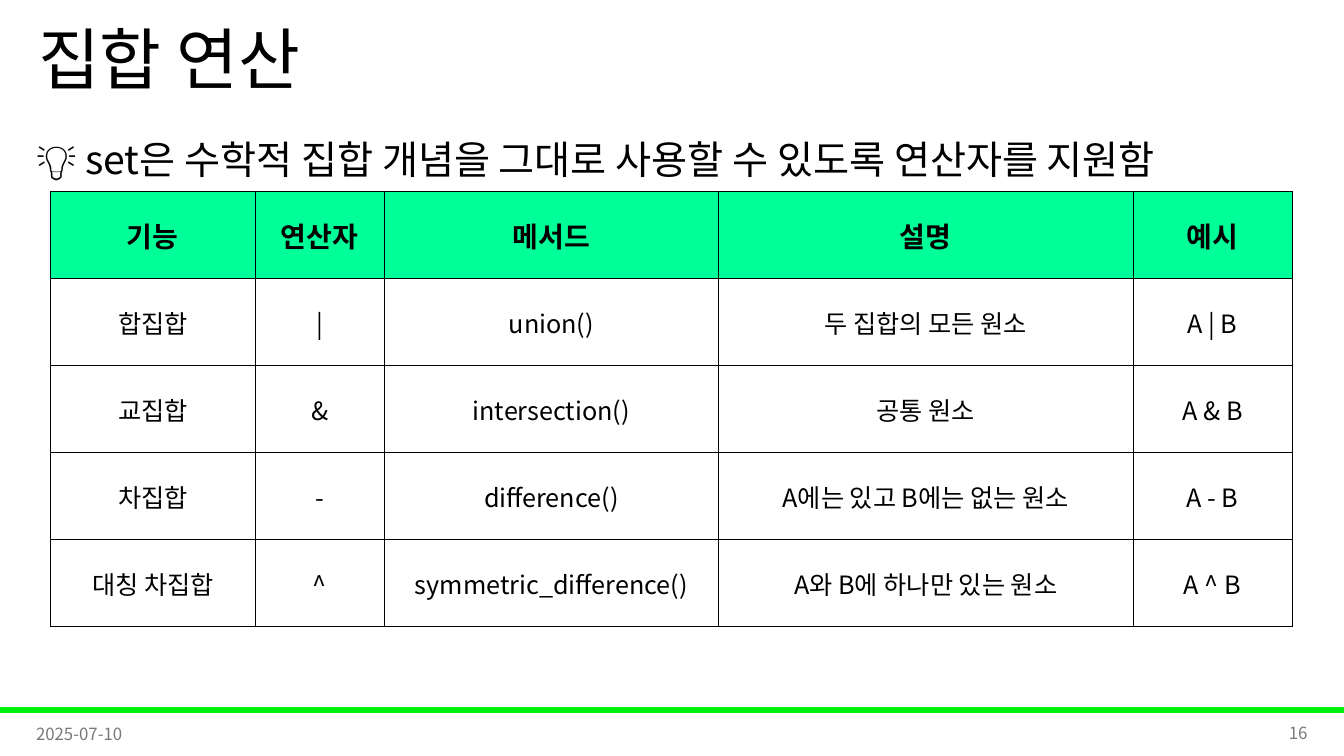
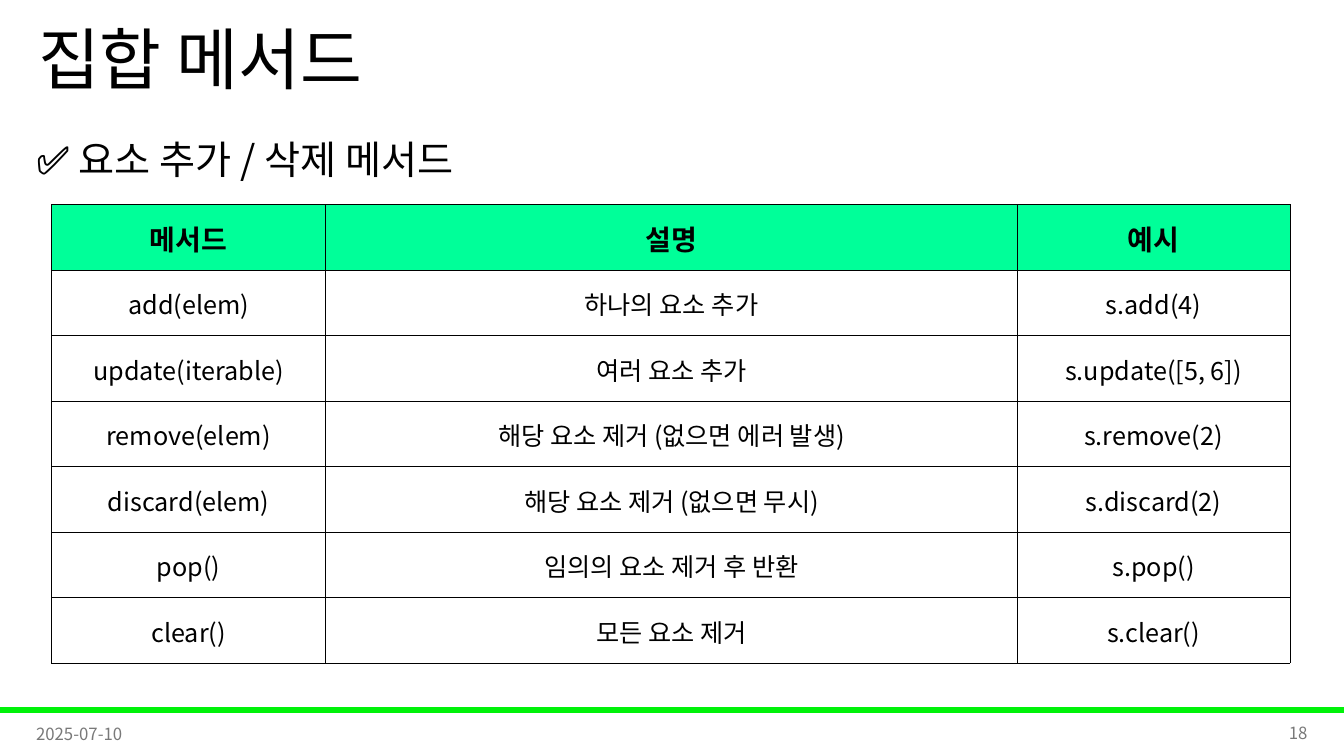
import pptx
import pptx.dml.color
import pptx.enum.shapes
import pptx.enum.text
import pptx.oxml.ns
import pptx.util
from lxml import etree

Cm, Pt = pptx.util.Cm, pptx.util.Pt
ALIGN = pptx.enum.text.PP_ALIGN
MIDDLE = pptx.enum.text.MSO_ANCHOR.MIDDLE
TOP = pptx.enum.text.MSO_ANCHOR.TOP
qn = pptx.oxml.ns.qn

FONT = "Noto Sans CJK KR"
COLORS = {"text": "000000", "footer": "797979", "band": "00F209", "header": "00FF99", "border": "000000"}
DATE = "2025-07-10"


def rgb(name):
    return pptx.dml.color.RGBColor.from_string(COLORS[name])


class Deck:
    """Holds the shared style and the slide being built."""

    def __init__(self):
        self.prs = pptx.Presentation()
        self.prs.slide_width = Cm(33.87)
        self.prs.slide_height = Cm(19.05)
        self.s = None

    def add_slide(self, title, heading, number):
        self.s = self.prs.slides.add_slide(self.prs.slide_layouts[6])
        self.band()
        p = self.text(title, 0.71, 0, 29.21, 3.18, 48)
        p.line_spacing = 0.9
        self.text(DATE, 0.66, 17.98, 7.62, 1.02, 12, "footer")
        self.text(str(number), 25.58, 17.96, 7.62, 1.02, 12, "footer", ALIGN.RIGHT)
        p = self.text(heading, 0.66, 2.69, 32.51, 2.13, 28, anchor=TOP)
        p.line_spacing = 1.5
        p.space_before = Pt(10)

    def style(self, p, size, color="text", align=ALIGN.LEFT, bold=False):
        p.alignment = align
        f = p.font
        f.size, f.bold, f.name = Pt(size), bold, FONT
        f.color.rgb = rgb(color)
        # East Asian text takes its typeface from a separate element
        etree.SubElement(p._p.pPr.find(qn("a:defRPr")), qn("a:ea"), typeface=FONT)

    def text(self, text, x, y, w, h, size, color="text", align=ALIGN.LEFT, anchor=MIDDLE):
        tf = self.s.shapes.add_textbox(Cm(x), Cm(y), Cm(w), Cm(h)).text_frame
        tf.word_wrap = True
        tf.vertical_anchor = anchor
        p = tf.paragraphs[0]
        p.text = text
        self.style(p, size, color, align)
        return p

    def band(self):
        sp = self.s.shapes.add_shape(
            pptx.enum.shapes.MSO_SHAPE.RECTANGLE, 0, Cm(17.83), self.prs.slide_width, Cm(0.13))
        sp.shadow.inherit = False
        sp.fill.solid()
        sp.fill.fore_color.rgb = rgb("band")
        sp.line.color.rgb = rgb("band")
        sp.line.width = Pt(1)

    def table(self, x, y, widths, row_height, rows):
        """Draw a bordered table whose first row is the header."""
        tbl = self.s.shapes.add_table(
            len(rows), len(widths), Cm(x), Cm(y), Cm(sum(widths)), Cm(row_height * len(rows))).table
        for column, width in zip(tbl.columns, widths):
            column.width = Cm(width)
        for i, values in enumerate(rows):
            tbl.rows[i].height = Cm(row_height)
            for j, value in enumerate(values):
                self.cell(tbl.cell(i, j), value, header=i == 0)

    def cell(self, cell, value, header):
        cell.margin_left = cell.margin_right = cell.margin_top = Cm(0.03)
        cell.margin_bottom = 0
        cell.vertical_anchor = MIDDLE
        self.borders(cell)
        if header:
            cell.fill.solid()
            cell.fill.fore_color.rgb = rgb("header")
        else:
            cell.fill.background()
        p = cell.text_frame.paragraphs[0]
        p.text = value
        self.style(p, 20 if header else 18, align=ALIGN.CENTER, bold=header)

    def borders(self, cell):
        tcPr = cell._tc.get_or_add_tcPr()
        for side in ("lnL", "lnR", "lnT", "lnB"):
            ln = etree.SubElement(tcPr, qn("a:" + side), w=str(Pt(0.5)))
            fill = etree.SubElement(ln, qn("a:solidFill"))
            etree.SubElement(fill, qn("a:srgbClr"), val=COLORS["border"])


def main():
    deck = Deck()

    deck.add_slide("집합 연산", "💡 set은 수학적 집합 개념을 그대로 사용할 수 있도록 연산자를 지원함", 16)
    deck.table(1.27, 4.83, [5.16, 3.25, 8.43, 10.44, 4.01], 2.19, [
        ("기능", "연산자", "메서드", "설명", "예시"),
        ("합집합", "|", "union()", "두 집합의 모든 원소", "A | B"),
        ("교집합", "&", "intersection()", "공통 원소", "A & B"),
        ("차집합", "-", "difference()", "A에는 있고 B에는 없는 원소", "A - B"),
        ("대칭 차집합", "^", "symmetric_difference()", "A와 B에 하나만 있는 원소", "A ^ B"),
    ])

    deck.add_slide("집합 메서드", "✅ 요소 추가 / 삭제 메서드", 18)
    deck.table(1.3, 5.16, [6.91, 17.42, 6.88], 1.65, [
        ("메서드", "설명", "예시"),
        ("add(elem)", "하나의 요소 추가", "s.add(4)"),
        ("update(iterable)", "여러 요소 추가", "s.update([5, 6])"),
        ("remove(elem)", "해당 요소 제거 (없으면 에러 발생)", "s.remove(2)"),
        ("discard(elem)", "해당 요소 제거 (없으면 무시)", "s.discard(2)"),
        ("pop()", "임의의 요소 제거 후 반환", "s.pop()"),
        ("clear()", "모든 요소 제거", "s.clear()"),
    ])

    deck.prs.save("out.pptx")


if __name__ == "__main__":
    main()
